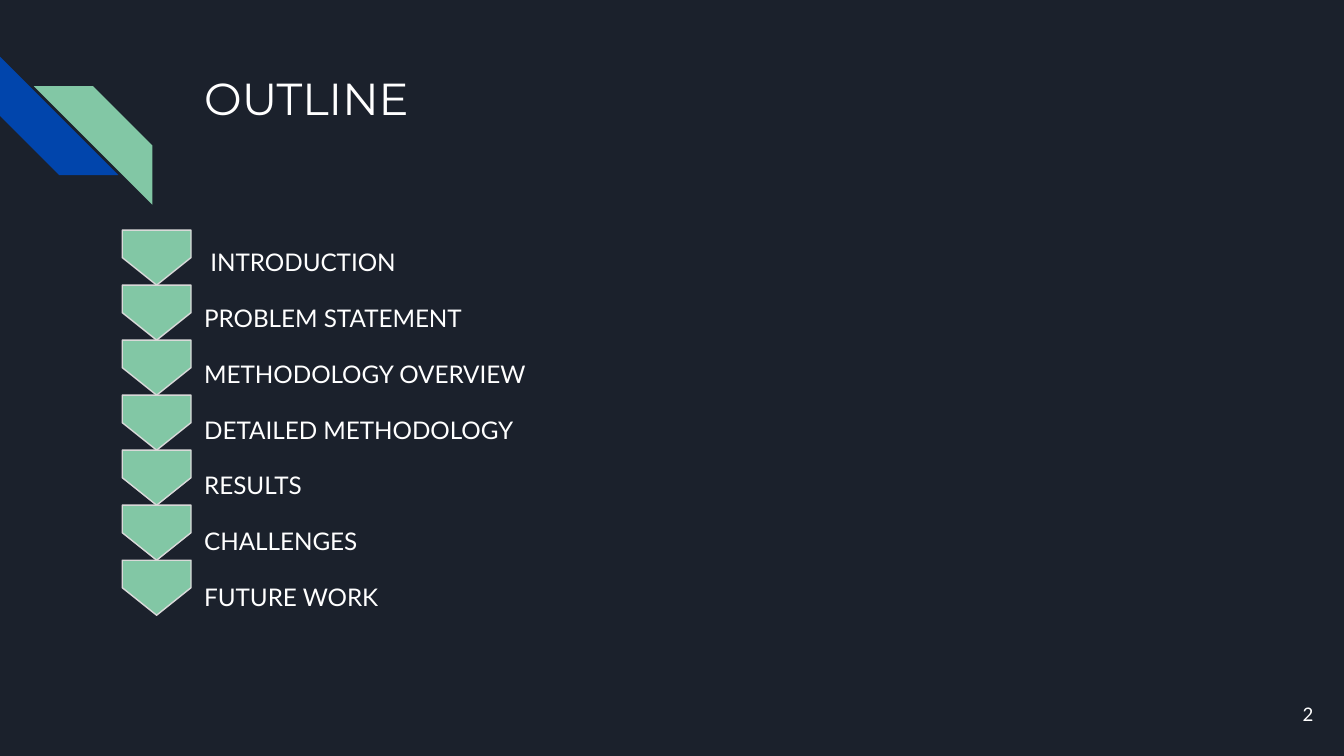
from dataclasses import dataclass
from typing import Optional

from pptx import Presentation
from pptx import util as u
from pptx.dml.color import RGBColor
from pptx.enum import shapes, text

NAVY = RGBColor(0x1B, 0x21, 0x2C)
BLUE = RGBColor(0x01, 0x45, 0xAC)
GREEN = RGBColor(0x82, 0xC7, 0xA5)
LIGHT_GREY = RGBColor(0xD9, 0xD9, 0xD9)
WHITE = RGBColor(0xFF, 0xFF, 0xFF)

TOPICS = [
    " INTRODUCTION",
    "PROBLEM STATEMENT",
    "METHODOLOGY OVERVIEW",
    "DETAILED METHODOLOGY",
    "RESULTS",
    "CHALLENGES",
    "FUTURE WORK",
]
TEXT_LEFT, TEXT_WIDTH = 3.61, 19.56
ARROW_LEFT, ARROW_TOP = 2.44, 4.22
ARROW_LENGTH, ARROW_BREADTH = 1.04, 1.3
STRIPE_SIZE = 2.24


@dataclass
class Box:
    """Position and size in centimetres."""
    left: float
    top: float
    width: float
    height: float

    def lengths(self) -> list[u.Length]:
        return [u.Cm(value) for value in (self.left, self.top, self.width, self.height)]


@dataclass
class Ornament:
    kind: shapes.MSO_SHAPE
    box: Box
    rotation: float
    fill: RGBColor
    outline: Optional[RGBColor] = None


def draw_ornament(slide, ornament: Ornament) -> None:
    shape = slide.shapes.add_shape(ornament.kind, *ornament.box.lengths())
    shape.rotation = ornament.rotation
    shape.adjustments[0] = 0.5
    shape.shadow.inherit = False
    shape.fill.solid()
    shape.fill.fore_color.rgb = ornament.fill
    if ornament.outline is None:
        shape.line.fill.background()
    else:
        shape.line.color.rgb = ornament.outline
        shape.line.width = u.Pt(0.75)


def add_text(slide, box: Box, lines: list[str], *, size: float, font: str = "Lato",
             align=text.PP_ALIGN.LEFT, anchor=text.MSO_ANCHOR.TOP,
             line_spacing: float = 1.0, gap: float = 0) -> None:
    frame = slide.shapes.add_textbox(*box.lengths()).text_frame
    frame.word_wrap = True
    frame.vertical_anchor = anchor
    frame.margin_left = frame.margin_right = u.Cm(0.25)
    frame.margin_top = frame.margin_bottom = u.Cm(0.25)
    for index, line in enumerate(lines):
        paragraph = frame.add_paragraph() if index else frame.paragraphs[0]
        paragraph.alignment = align
        paragraph.line_spacing = line_spacing
        paragraph.space_before = u.Pt(gap if index else 0)
        run = paragraph.add_run()
        run.text = line
        run.font.name = font
        run.font.size = u.Pt(size)
        run.font.color.rgb = WHITE


def main() -> None:
    presentation = Presentation()
    presentation.slide_width = u.Cm(25.4)
    presentation.slide_height = u.Cm(14.29)
    slide = presentation.slides.add_slide(presentation.slide_layouts[6])
    slide.background.fill.solid()
    slide.background.fill.fore_color.rgb = NAVY

    # Corner stripes
    stripe = shapes.MSO_SHAPE.DIAGONAL_STRIPE
    draw_ornament(slide, Ornament(stripe, Box(0, 1.07, STRIPE_SIZE, STRIPE_SIZE), 270, BLUE))
    draw_ornament(slide, Ornament(stripe, Box(0.64, 1.63, STRIPE_SIZE, STRIPE_SIZE), 90, GREEN))

    # Title and topics
    add_text(slide, Box(TEXT_LEFT, 1.09, TEXT_WIDTH, 2.54), ["OUTLINE"],
             size=24, font="Montserrat")
    add_text(slide, Box(TEXT_LEFT, 4.34, TEXT_WIDTH, 8.08), TOPICS,
             size=13, line_spacing=1.15, gap=12)

    # Chain of downward arrows, one per topic
    for index in range(len(TOPICS)):
        box = Box(ARROW_LEFT, ARROW_TOP + index * ARROW_LENGTH, ARROW_LENGTH, ARROW_BREADTH)
        draw_ornament(slide, Ornament(shapes.MSO_SHAPE.PENTAGON, box, 90, GREEN, LIGHT_GREY))

    # Page number
    add_text(slide, Box(23.55, 12.95, 1.52, 1.09), ["2"], size=10,
             align=text.PP_ALIGN.RIGHT, anchor=text.MSO_ANCHOR.MIDDLE)

    presentation.save("out.pptx")


if __name__ == "__main__":
    main()
